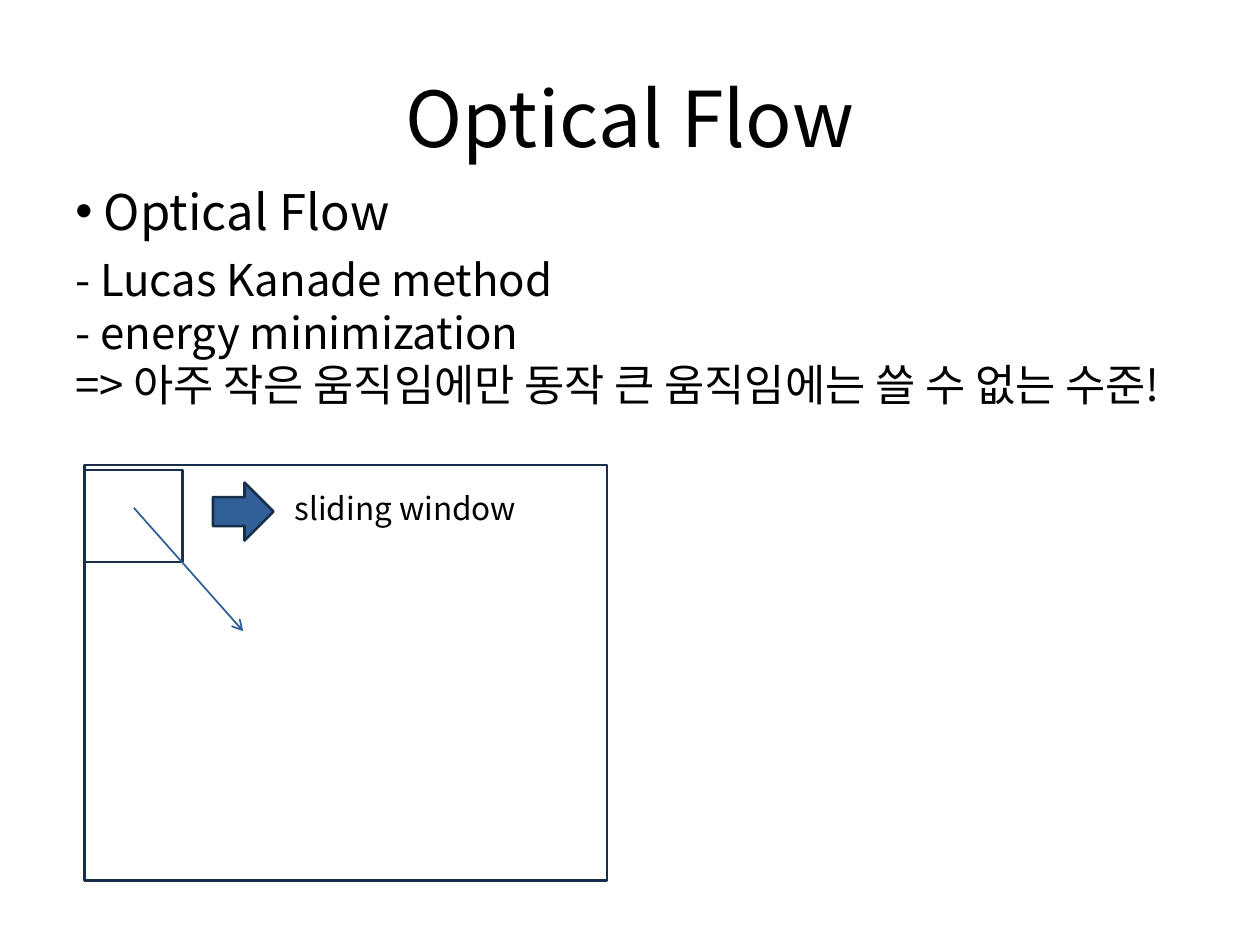
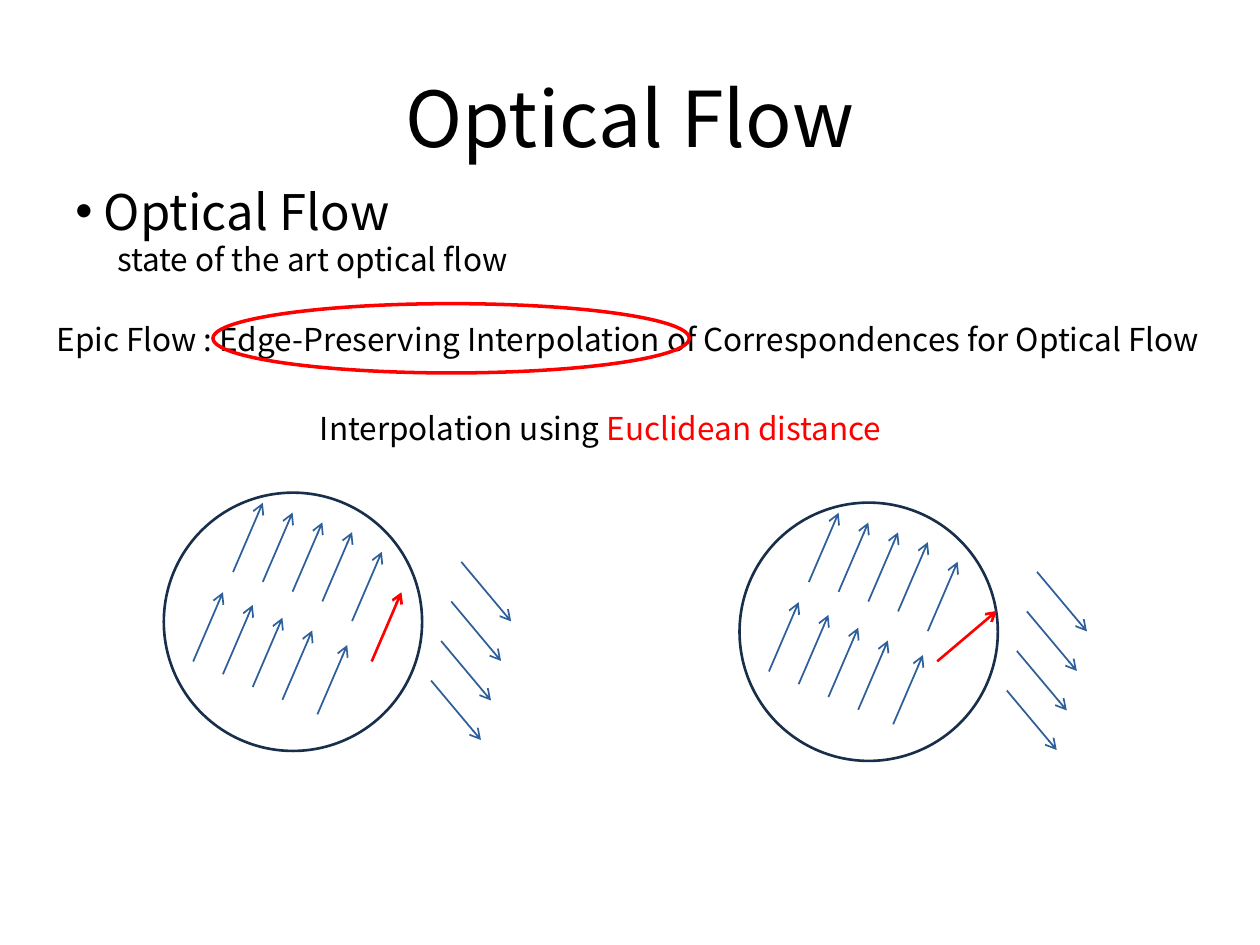
import pptx
import pptx.dml.color
import pptx.enum.shapes
import pptx.enum.text
import pptx.oxml.ns
import pptx.util
from lxml import etree

Pt = pptx.util.Pt
qn = pptx.oxml.ns.qn
Shape = pptx.enum.shapes.MSO_SHAPE
Align = pptx.enum.text.PP_ALIGN
Anchor = pptx.enum.text.MSO_ANCHOR

COLORS = {"text": "000000", "edge": "182F4B", "fill": "315F97",
          "flow": "2E5F9A", "mark": "FF0000"}
FONT = "Noto Sans CJK KR"


def rgb(name):
    return pptx.dml.color.RGBColor.from_string(COLORS[name])


def write(para, text, size=18, color="text", track=0):
    """Add one formatted run to a paragraph."""
    run = para.add_run()
    run.text = text
    run.font.size = Pt(size)
    run.font.name = FONT
    run.font.color.rgb = rgb(color)
    props = run.font._element
    etree.SubElement(props, qn("a:ea")).set("typeface", FONT)
    if track:
        props.set("spc", str(track))


class Deck:
    def __init__(self):
        self.prs = pptx.Presentation()
        self.prs.slide_width, self.prs.slide_height = Pt(720), Pt(540)
        self.slide = None

    def page(self, title, topic):
        """Start a slide with its title and bulleted topic."""
        self.slide = self.prs.slides.add_slide(self.prs.slide_layouts[6])
        head = self.box(36, 21.6, 648, 90, Anchor.MIDDLE).paragraphs[0]
        head.alignment = Align.CENTER
        write(head, title, size=44, track=10)
        para = self.box(36, 100, 648, 356.4).paragraphs[0]
        self.bullet(para, 16.2)
        write(para, topic, size=28, track=10)

    def bullet(self, para, indent):
        props = para._p.get_or_add_pPr()
        props.set("marL", str(Pt(indent)))
        props.set("indent", str(-Pt(indent)))
        etree.SubElement(props, qn("a:buFont")).set("typeface", "Arial")
        etree.SubElement(props, qn("a:buChar")).set("char", "•")

    def box(self, x, y, w, h, anchor=Anchor.TOP):
        frame = self.slide.shapes.add_textbox(Pt(x), Pt(y), Pt(w), Pt(h)).text_frame
        frame.word_wrap = True
        frame.vertical_anchor = anchor
        return frame

    def text(self, x, y, w, h, *lines, size=18):
        """Write lines; each one is a list of (text, colour) parts."""
        frame = self.box(x, y, w, h)
        for i, line in enumerate(lines):
            para = frame.add_paragraph() if i else frame.paragraphs[0]
            for words, color in line:
                write(para, words, size=size, color=color)

    def shape(self, kind, x, y, w, h, fill=None, edge="edge", width=1.5):
        item = self.slide.shapes.add_shape(kind, Pt(x), Pt(y), Pt(w), Pt(h))
        item.shadow.inherit = False
        if fill:
            item.fill.solid()
            item.fill.fore_color.rgb = rgb(fill)
        else:
            item.fill.background()
        item.line.color.rgb = rgb(edge)
        item.line.width = Pt(width)

    def arrow(self, x, y, dx, dy, color="flow", width=1):
        link = self.slide.shapes.add_connector(
            pptx.enum.shapes.MSO_CONNECTOR.STRAIGHT,
            Pt(x), Pt(y), Pt(x + dx), Pt(y + dy))
        link.line.color.rgb = rgb(color)
        link.line.width = Pt(width)
        props = link._element.spPr
        etree.SubElement(props.find(qn("a:ln")), qn("a:tailEnd")).set("type", "arrow")
        etree.SubElement(props, qn("a:effectLst"))

    def field(self, x, y, red):
        """Draw a disc of flow arrows, the flow beside it and a red guess."""
        self.shape(Shape.OVAL, x, y, 147.6, 147.6)
        # Two rows inside; the last arrow of each is set a little apart
        for k in range(5):
            last = k == 4
            self.arrow(x + 39.6 + 17 * k, y + 45.4 + 5.6 * k + 5.6 * last, 17, -39.6)
            self.arrow(x + 16.8 + 17 * k + 3 * last, y + 96.5 + 7.3 * k + last, 17, -39.6)
        # Flow outside
        for k in range(4):
            self.arrow(x + 170 - 5.75 * k, y + 39.6 + 22.6 * k, 28.5, 34)
        dx, dy, *step = red
        self.arrow(x + dx, y + dy, *step, color="mark", width=1.5)


def main():
    deck = Deck()

    # Slide 1: classic methods and the sliding window
    deck.page("Optical Flow", "Optical Flow")
    deck.text(36, 141.1, 703.4, 96.5,
              [("- Lucas Kanade method", "text")],
              [("- energy minimization", "text")],
              [("=> 아주 작은 움직임에만 동작 큰 움직임에는 쓸 수 없는 수준!", "text")],
              size=25)
    deck.shape(Shape.RECTANGLE, 48.2, 265.7, 298.8, 237.6)
    deck.shape(Shape.RIGHT_ARROW, 121.7, 275.8, 34.6, 33.1, fill="fill")
    deck.text(161.3, 275.8, 188.6, 28.8, [("sliding window", "text")])
    deck.shape(Shape.RECTANGLE, 48.2, 268.6, 56.2, 52.6)
    deck.arrow(76.5, 290.2, 62.5, 70.5)

    # Slide 2: interpolation by distance
    deck.page("Optical Flow", "Optical Flow")
    deck.text(59.8, 133.9, 436.3, 28.8, [("state of the art optical flow", "text")])
    deck.text(25.2, 179.3, 697.7, 28.1,
              [("Epic Flow : Edge-Preserving Interpolation of "
                "Correspondences for Optical Flow", "text")])
    deck.shape(Shape.OVAL, 121.7, 173.5, 272.2, 39.6, edge="mark", width=2)
    deck.field(93.6, 281.5, (118.8, 96.5, 17, -39.6))
    deck.field(422.6, 287.2, (113, 90.7, 34, -28.8))
    deck.text(175.7, 230.4, 371.5, 28.8,
              [("Interpolation using ", "text"), ("Euclidean distance", "mark")])

    deck.prs.save("out.pptx")


if __name__ == "__main__":
    main()
